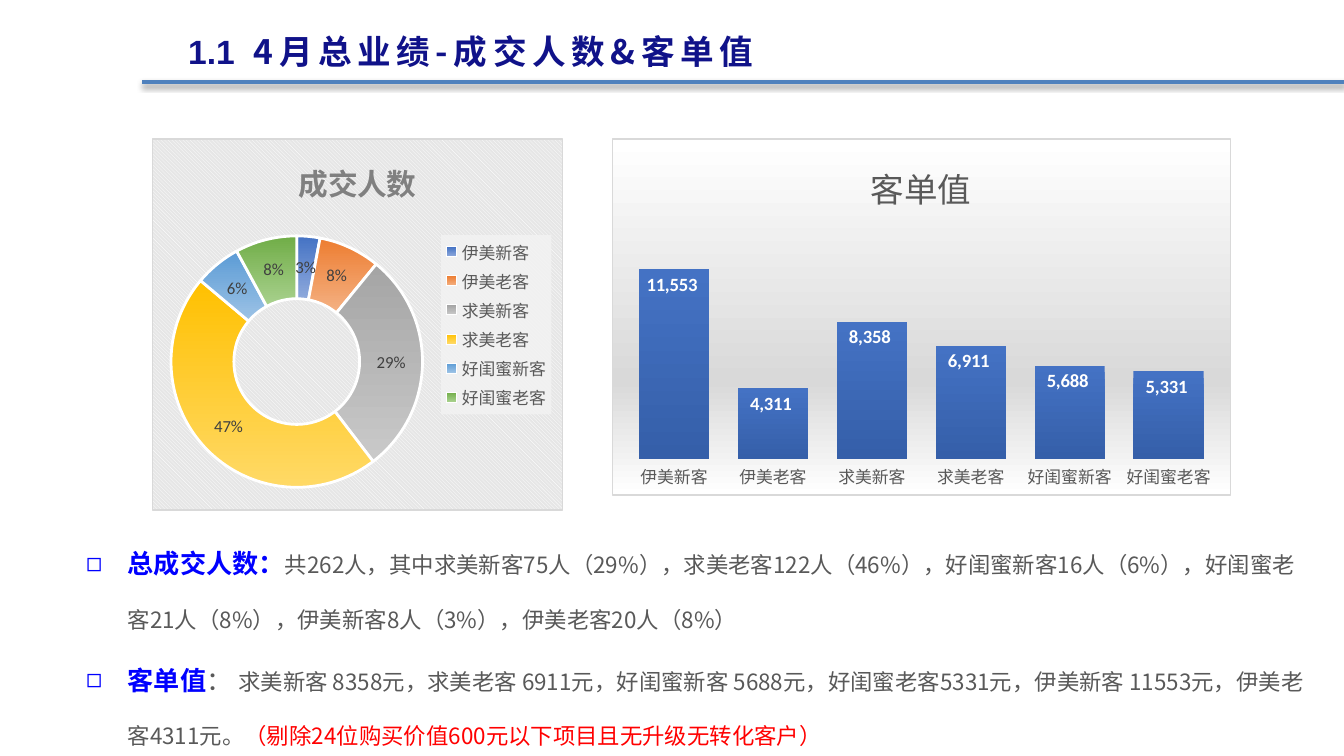
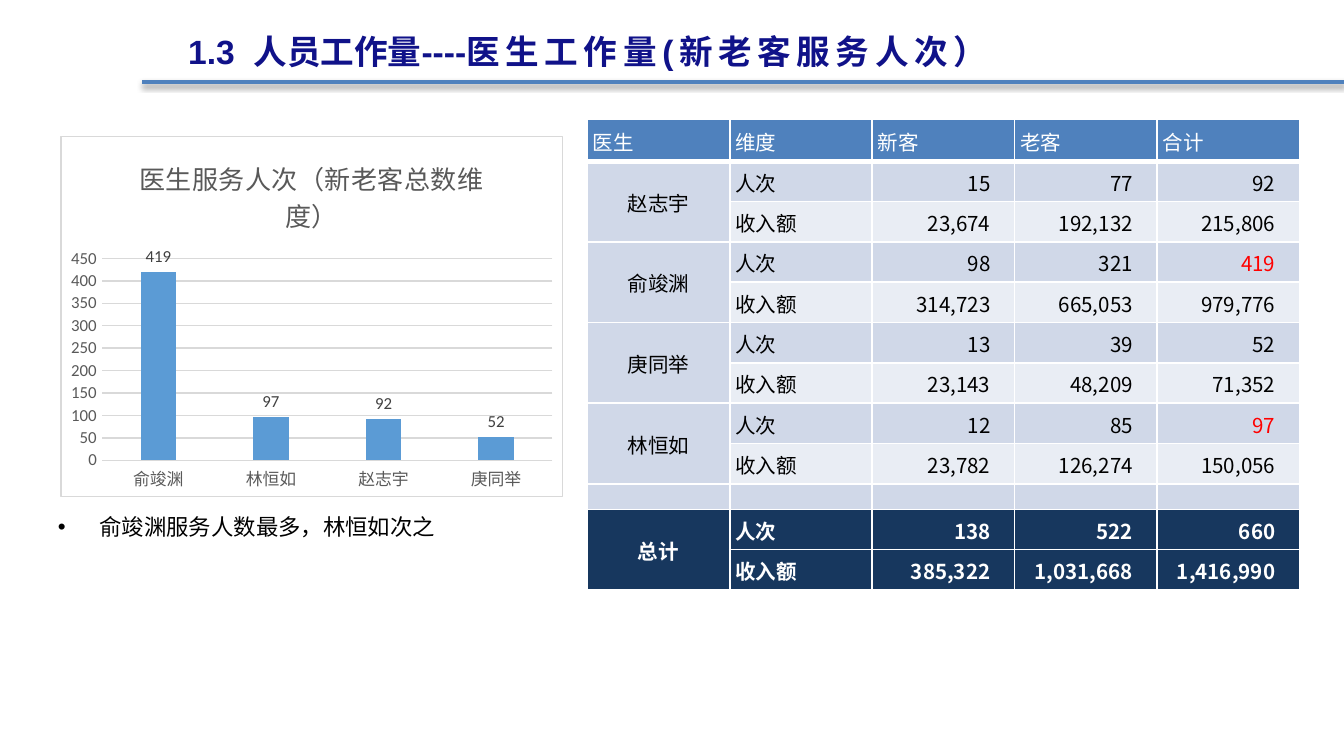
from pptx import Presentation
from pptx.chart.data import CategoryChartData
from pptx.dml.color import RGBColor
from pptx.enum import chart as ch, shapes, text as tx
from pptx.oxml import parse_xml
from pptx.oxml.ns import nsdecls, qn
from pptx.util import Inches, Pt

HEX = {
    "navy": "101289", "rule": "4F81BD", "blue": "0000FF", "red": "FF0000",
    "black": "000000", "white": "FFFFFF", "grey": "595959", "dim": "808080",
    "dark": "404040", "edge": "D9D9D9", "hatch": "E6E6E6", "pale": "F2F2F2",
    "band": "D0D8E8", "light": "E9EDF4", "total": "17375E", "bar": "5B9BD5",
}
SLICES = [("4472C4", "8FAADC"), ("ED7D31", "F4B183"), ("A5A5A5", "C9C9C9"),
          ("FFC000", "FFD966"), ("5B9BD5", "9DC3E6"), ("70AD47", "A9D18E")]
BARS = ("4472C4", "355FA9")
CJK, LATIN = "Noto Sans CJK SC", "Calibri"
GROUPS = ["伊美新客", "伊美老客", "求美新客", "求美老客", "好闺蜜新客", "好闺蜜老客"]
# doctor: (visits new, old), (income new, old), total visits in red
DOCTORS = {
    "赵志宇": ((15, 77), (23674, 192132), False),
    "俞竣渊": ((98, 321), (314723, 665053), True),
    "庚同举": ((13, 39), (23143, 48209), False),
    "林恒如": ((12, 85), (23782, 126274), True),
}


def rgb(name):
    return RGBColor.from_string(HEX.get(name, name))


def style(font, size, color, bold=False, face=LATIN):
    font.size, font.bold, font.name = Pt(size), bold, face
    font.color.rgb = rgb(color)


def write(par, words, size=12, color="black", bold=False, face=CJK, gap=0):
    """Add one run; gap is the letter spacing in points."""
    run = par.add_run()
    run.text = words
    style(run.font, size, color, bold, face)
    props = run.font._element
    if gap:
        props.set("spc", str(gap * 100))
    props.find(qn("a:latin")).addnext(
        parse_xml(f'<a:ea {nsdecls("a")} typeface="{CJK}"/>'))


def place(shape, left, top, width, height):
    shape.left, shape.top = Inches(left), Inches(top)
    shape.width, shape.height = Inches(width), Inches(height)
    frame = shape.text_frame
    frame.word_wrap = True
    frame.auto_size = tx.MSO_AUTO_SIZE.NONE
    frame.vertical_anchor = tx.MSO_ANCHOR.TOP
    return frame


def start(deck, *runs):
    """Add a slide with its title and the shadowed rule below it."""
    slide = deck.slides.add_slide(deck.slide_layouts[1])
    par = place(slide.shapes.title, 1.3, 0.03, 7.35, 0.55).paragraphs[0]
    par.alignment, par.line_spacing = tx.PP_ALIGN.LEFT, 1.5
    for words, fmt in runs:
        write(par, words, 18, "navy", True, **fmt)
    rule = slide.shapes.add_connector(
        shapes.MSO_CONNECTOR.STRAIGHT,
        Inches(1.06), Inches(0.61), Inches(10), Inches(0.61))
    rule.line.color.rgb, rule.line.width = rgb("rule"), Pt(2)
    rule._element.spPr.append(parse_xml(
        f'<a:effectLst {nsdecls("a")}><a:outerShdw blurRad="{Pt(3.1)}" '
        f'dist="{Pt(1.6)}" dir="5400000" rotWithShape="0">'
        f'<a:srgbClr val="{HEX["black"]}"><a:alpha val="38000"/></a:srgbClr>'
        '</a:outerShdw></a:effectLst>'))
    return slide


def bullets(slide, box, items, mark, space=1.0):
    frame = place(slide.placeholders[1], *box)
    for i, runs in enumerate(items):
        par = frame.add_paragraph() if i else frame.paragraphs[0]
        par.line_spacing, par.space_before = space, Pt(0)
        props = par._p.get_or_add_pPr()
        props.set("marL", str(Inches(0.31)))
        props.set("indent", str(-Inches(0.31)))
        props.append(parse_xml(f'<a:buChar {nsdecls("a")} char="{mark}"/>'))
        for words, fmt in runs:
            write(par, words, **fmt)


def solid(color, alpha=100):
    return (f'<a:solidFill><a:srgbClr val="{HEX[color]}">'
            f'<a:alpha val="{alpha * 1000}"/></a:srgbClr></a:solidFill>')


def hatch(front, back):
    return (f'<a:pattFill prst="dkDnDiag"><a:fgClr><a:srgbClr val="{HEX[front]}"/>'
            f'</a:fgClr><a:bgClr><a:srgbClr val="{HEX[back]}"/></a:bgClr></a:pattFill>')


def blend(*stops):
    marks = "".join(f'<a:gs pos="{at * 1000}"><a:srgbClr val="{HEX[color]}"/></a:gs>'
                    for at, color in stops)
    return f'<a:gradFill><a:gsLst>{marks}</a:gsLst><a:lin ang="5400000"/></a:gradFill>'


def props(fill, line="<a:noFill/>"):
    return parse_xml(f'<c:spPr {nsdecls("c", "a")}>{fill}'
                     f'<a:ln w="{Pt(0.75)}">{line}</a:ln></c:spPr>')


def fade(fill, colors):
    """Vertical two-colour gradient, first colour on top."""
    fill.gradient()
    fill.gradient_angle = 270
    for stop, color in zip(fill.gradient_stops, colors):
        stop.color.rgb = rgb(color)


def plot(slide, kind, box, cats, vals, title, back, **fmt):
    data = CategoryChartData()
    data.categories = cats
    data.add_series("Series 1", vals)
    chart = slide.shapes.add_chart(kind, *map(Inches, box), data).chart
    style(chart.font, 10, "black", face="Karla")
    chart.has_legend = False
    chart.has_title = True
    chart.chart_title.include_in_layout = False
    run = chart.chart_title.text_frame.paragraphs[0].add_run()
    run.text = title
    style(run.font, **fmt)
    chart._chartSpace.find(qn("c:chart")).addnext(props(back, solid("edge")))
    return chart


def label(chart, size, color, bold=False, form="General", spot=None):
    area = chart.plots[0]
    area.has_data_labels = True
    tags = area.data_labels
    style(tags.font, size, color, bold)
    tags.number_format, tags.number_format_is_linked = form, False
    tags.show_value = True
    if spot is not None:
        tags.position = spot
    return tags


def ring(slide):
    chart = plot(slide, ch.XL_CHART_TYPE.DOUGHNUT, (1.13, 1.03, 3.06, 2.77),
                 GROUPS, (3, 8, 29, 47, 6, 8), "成交人数",
                 hatch("white", "hatch"), size=16, color="dim", bold=True)
    area = chart.plots[0]
    area._element.find(qn("c:holeSize")).set("val", "70")
    for i, pair in enumerate(SLICES):
        look = area.series[0].points[i].format
        fade(look.fill, pair)
        look.line.color.rgb, look.line.width = rgb("white"), Pt(1.5)
    tags = label(chart, 9, "dark", form="0%")
    tags.show_percentage, tags.show_value = True, False
    chart.has_legend = True
    key = chart.legend
    key.position, key.include_in_layout = ch.XL_LEGEND_POSITION.RIGHT, False
    style(key.font, 9, "grey")
    key._element.find(qn("c:txPr")).addprevious(props(solid("pale", 90)))


def columns(slide, box, cats, vals, title, back, size, gap, overlap=0):
    chart = plot(slide, ch.XL_CHART_TYPE.COLUMN_CLUSTERED, box, cats, vals,
                 title, back, size=size, color="grey")
    area = chart.plots[0]
    area.gap_width, area.overlap, area.vary_by_categories = gap, overlap, False
    for axis in (chart.category_axis, chart.value_axis):
        axis.major_tick_mark = axis.minor_tick_mark = ch.XL_TICK_MARK.NONE
        style(axis.tick_labels.font, 9, "grey")
        axis.format.line.fill.background()
    return chart, area.series[0].format.fill


def prices(slide):
    chart, fill = columns(
        slide, (4.55, 1.03, 4.61, 2.66), GROUPS,
        (11553, 4311, 8358, 6911, 5688, 5331), "客单值",
        blend((0, "white"), (68, "edge"), (100, "white")), 18, 41)
    fade(fill, BARS)
    chart.value_axis.visible = chart.value_axis.has_major_gridlines = False
    label(chart, 10, "white", True, "#,##0_ ", ch.XL_LABEL_POSITION.INSIDE_END)


def visits(slide):
    sums = {name: sum(row[0]) for name, row in DOCTORS.items()}
    names = sorted(sums, key=sums.get, reverse=True)
    chart, fill = columns(
        slide, (0.45, 1.01, 3.74, 2.69), names, [sums[n] for n in names],
        "医生服务人次（新老客总数维度）", solid("white"), 14, 219, -27)
    fill.solid()
    fill.fore_color.rgb = rgb("bar")
    for line in (chart.category_axis.format.line,
                 chart.value_axis.major_gridlines.format.line):
        line.color.rgb, line.width = rgb("edge"), Pt(0.75)
    label(chart, 9, "dark", spot=ch.XL_LABEL_POSITION.OUTSIDE_END)


def cell(grid, row, col, words, fill, color="black", bold=False, align="LEFT"):
    box = grid.cell(row, col)
    box.fill.solid()
    box.fill.fore_color.rgb = rgb(fill)
    box.vertical_anchor = tx.MSO_ANCHOR.MIDDLE
    box.margin_left = Inches(0.04)
    box.margin_right = Inches(0.18 if align == "RIGHT" else 0.04)
    box.margin_top, box.margin_bottom = Inches(0.01), 0
    par = box.text_frame.paragraphs[0]
    par.alignment = getattr(tx.PP_ALIGN, align)
    if words:
        write(par, words, 11, color, bold)
    else:
        par._p.get_or_add_endParaRPr().set("sz", "800")
    thick = {(0, "B"), (1, "T")}
    for i, side in enumerate("LRTB"):
        width = Pt(3 if (row, side) in thick else 1)
        box._tc.get_or_add_tcPr().insert(i, parse_xml(
            f'<a:ln{side} {nsdecls("a")} w="{width}">{solid("white")}</a:ln{side}>'))


def pair(grid, top, name, rows, fills, color="black", bold=False, mark=None):
    """Two rows, visits and income, beside one merged name cell."""
    for i, (kind, nums) in enumerate(zip(("人次", "收入额"), rows)):
        row, fill = top + i, fills[i]
        cell(grid, row, 0, "" if i else name, fills[0], color, bold, "CENTER")
        cell(grid, row, 1, kind, fill, color, bold)
        for col, num in enumerate((*nums, sum(nums)), 2):
            tint = mark if mark and (i, col) == (0, 4) else color
            cell(grid, row, col, f"{num:,}", fill, tint, bold, "RIGHT")
    grid.cell(top, 0).merge(grid.cell(top + 1, 0))


def workload(slide):
    heads = ["医生", "维度", "新客", "老客", "合计"]
    blank = 1 + 2 * len(DOCTORS)
    frame = slide.shapes.add_table(blank + 3, len(heads), Inches(4.37), Inches(0.89),
                                   Inches(5.3), Inches(3.5))
    grid = frame.table
    grid.horz_banding = False
    for col in grid.columns:
        col.width = Inches(1.06)
    for i, row in enumerate(grid.rows):
        row.height = Inches({0: 0.31, blank: 0.19}.get(i, 0.3))
    frame.height = Inches(4.13)
    for col, head in enumerate(heads):
        cell(grid, 0, col, head, "rule", "white")
        cell(grid, blank, col, "", "band")
    for i, (name, (seen, paid, top)) in enumerate(DOCTORS.items()):
        pair(grid, 1 + 2 * i, name, (seen, paid), ("band", "light"),
             mark="red" if top else None)
    sums = [[sum(col) for col in zip(*(row[k] for row in DOCTORS.values()))]
            for k in (0, 1)]
    pair(grid, blank + 1, "总计", sums, ("total", "total"), "white", True)


def main():
    deck = Presentation()
    deck.slide_width = Inches(10)
    deck.slide_height = deck.slide_width * 9 // 16
    head = {"size": 14, "color": "blue", "bold": True}
    body = {"color": "grey"}

    slide = start(deck, ("1.1  ", {"face": "Arial"}),
                  ("4月总业绩-成交人数&客单值", {"gap": 3}))
    bullets(slide, (0.54, 3.79, 9.27, 1.85), [
        [("总成交人数：", head),
         ("共262人，其中求美新客75人（29%），求美老客122人（46%），好闺蜜新客16人（6%），"
          "好闺蜜老客21人（8%），伊美新客8人（3%），伊美老客20人（8%）", body)],
        [("客单值", head), ("： ", {"size": 14, "color": "grey"}),
         ("求美新客 8358元，求美老客 6911元，好闺蜜新客 5688元，好闺蜜老客5331元，"
          "伊美新客 11553元，伊美老客4311元。", body),
         ("（剔除24位购买价值600元以下项目且无升级无转化客户）", {"color": "red"})],
    ], "◻", 2.0)
    ring(slide)
    prices(slide)

    slide = start(deck, ("1.3  人员工作量----", {"face": "Arial"}),
                  ("医生工作量(新老客服务人次）", {"face": "Arial", "gap": 3}))
    workload(slide)
    bullets(slide, (0.33, 3.77, 3.31, 0.61),
            [[("俞竣渊服务人数最多，林恒如次之", {})]], "•")
    visits(slide)
    deck.save("out.pptx")


if __name__ == "__main__":
    main()
